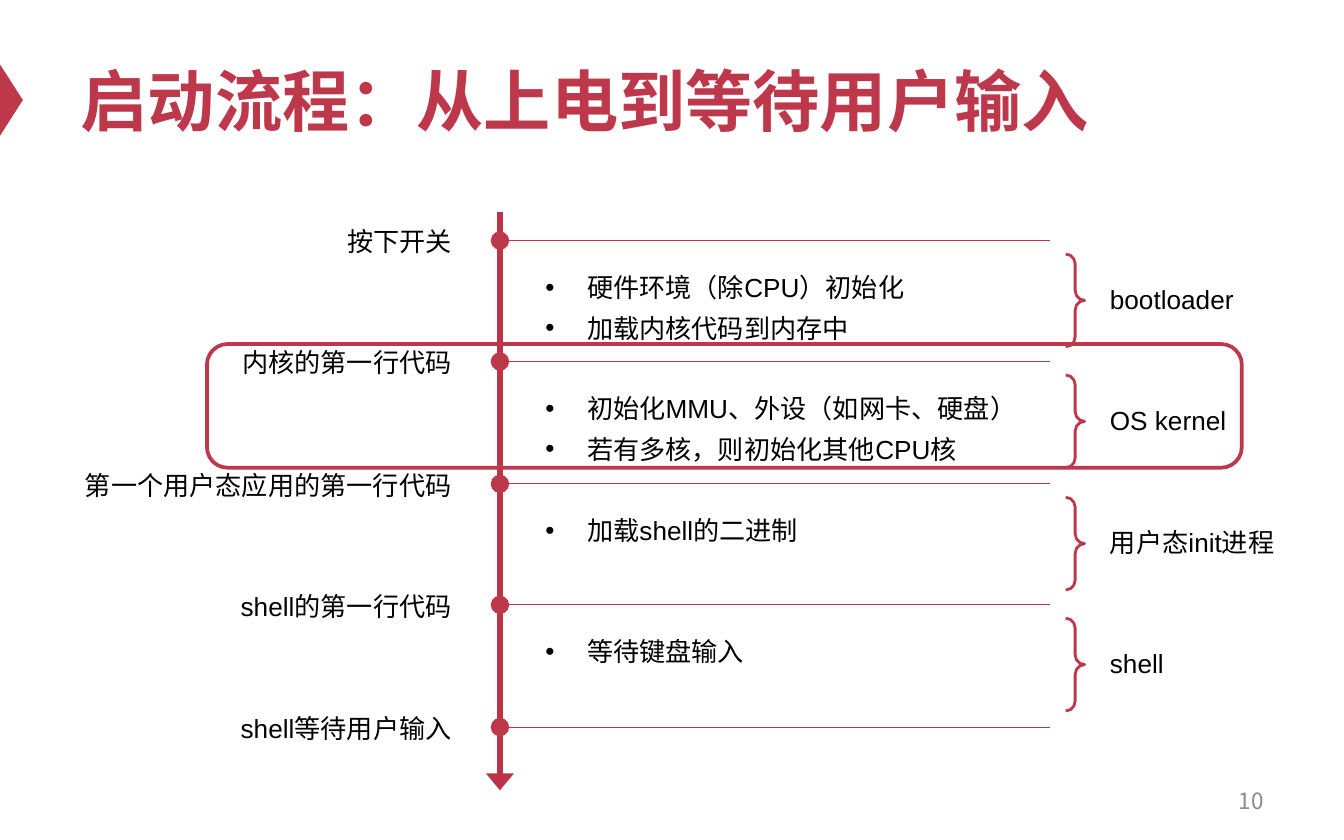
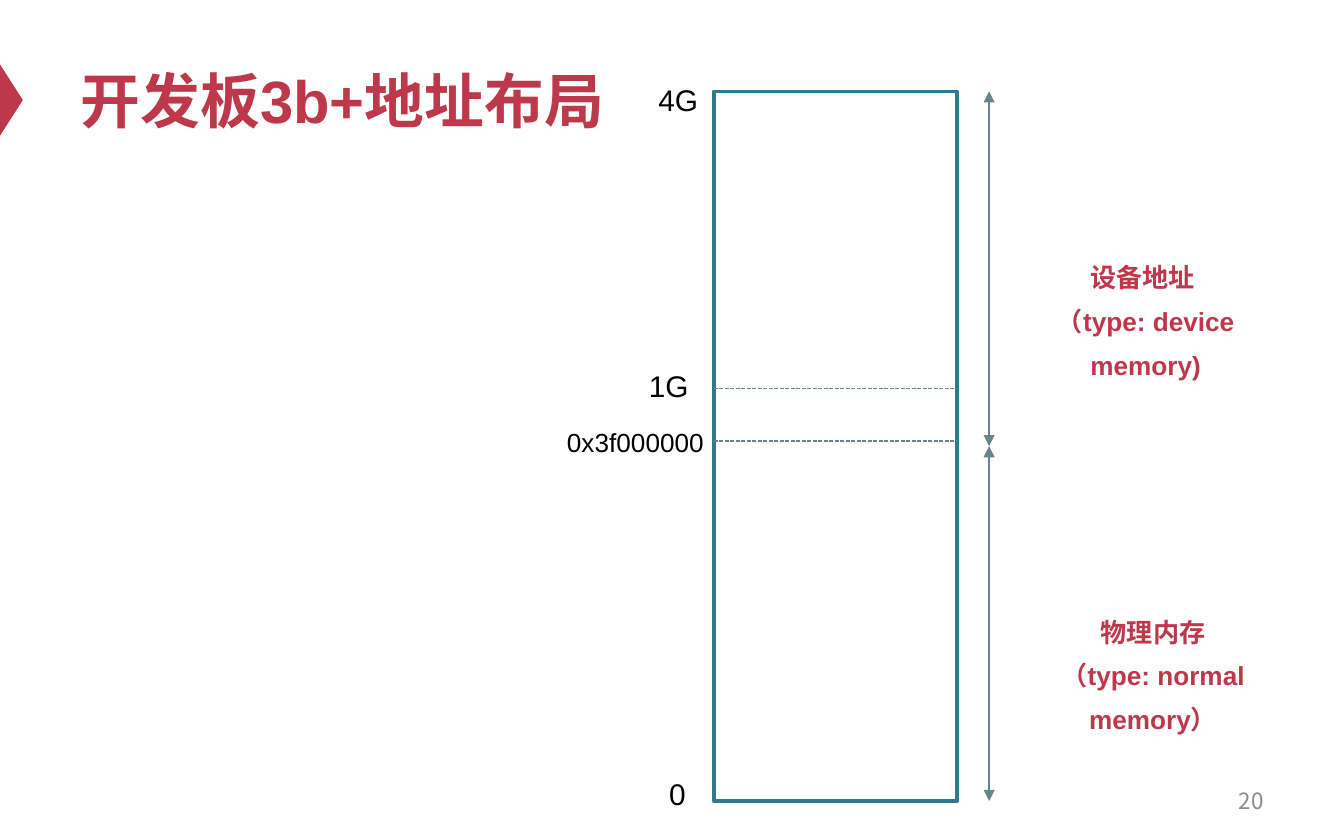
from lxml.etree import SubElement
from pptx import Presentation
from pptx.dml.color import RGBColor
from pptx.enum.dml import MSO_LINE
from pptx.enum.shapes import MSO_CONNECTOR, MSO_SHAPE
from pptx.enum.text import MSO_ANCHOR, MSO_AUTO_SIZE, PP_ALIGN
from pptx.oxml.ns import qn
from pptx.util import Emu, Pt

CRIMSON = RGBColor(0xBE, 0x38, 0x4B)
AXIS_RED = RGBColor(0xBD, 0x33, 0x47)
TEAL = RGBColor(0x32, 0x78, 0x8E)
SLATE = RGBColor(0x67, 0x84, 0x8D)
GREY = RGBColor(0x8C, 0x8C, 0x8C)
BLACK = RGBColor(0, 0, 0)
WHITE = RGBColor(255, 255, 255)

LATIN_FONT = "Arial"
CJK_FONT = "Noto Sans CJK SC"
TITLE_ONLY = 5
BULLET_INDENT = 31


def px(length):
    """Convert px, 100 to the inch, into EMU."""
    return Emu(length * 9144)


class Deck:
    def __init__(self, width, height):
        self.presentation = Presentation()
        self.presentation.slide_width = px(width)
        self.presentation.slide_height = px(height)
        self.slide = None

    def start_slide(self, title, number, title_size):
        layout = self.presentation.slide_layouts[TITLE_ONLY]
        self.slide = self.presentation.slides.add_slide(layout)
        self.shape(MSO_SHAPE.ISOSCELES_TRIANGLE, -18, 66, 53, 17, fill=CRIMSON).rotation = 90

        heading = self.slide.shapes.title
        heading.left, heading.top, heading.width, heading.height = map(px, (50, 25, 900, 98))
        frame = heading.text_frame
        frame.auto_size = MSO_AUTO_SIZE.NONE
        frame.vertical_anchor = MSO_ANCHOR.MIDDLE
        frame.paragraphs[0].alignment = PP_ALIGN.LEFT
        self.run(frame.paragraphs[0], title, title_size, CRIMSON, bold=True)

        self.text(717, 579, 233, 33, [str(number)], size=12, color=GREY, font=CJK_FONT,
                  align=PP_ALIGN.RIGHT, anchor=MSO_ANCHOR.MIDDLE, fit=False)

    def run(self, paragraph, words, size, color, bold=False, font=LATIN_FONT):
        run = paragraph.add_run()
        run.text = words
        run.font.size = Pt(size)
        run.font.bold = bold
        run.font.color.rgb = color
        run.font.name = font
        SubElement(run.font._element, qn("a:ea")).set("typeface", CJK_FONT)

    def text(self, x, y, w, h, paragraphs, size=14, color=BLACK, bold=False, font=LATIN_FONT,
             align=PP_ALIGN.LEFT, anchor=MSO_ANCHOR.TOP, spacing=None,
             bullets=False, wrap=True, fit=True):
        """Add a text box; a newline inside a paragraph is a line break."""
        frame = self.slide.shapes.add_textbox(px(x), px(y), px(w), px(h)).text_frame
        frame.word_wrap = wrap
        frame.auto_size = MSO_AUTO_SIZE.SHAPE_TO_FIT_TEXT if fit else MSO_AUTO_SIZE.NONE
        frame.vertical_anchor = anchor
        for index, content in enumerate(paragraphs):
            paragraph = frame.add_paragraph() if index else frame.paragraphs[0]
            paragraph.alignment = align
            if bullets:
                self.bullet(paragraph)
            if spacing:
                paragraph.line_spacing = spacing
            for row, words in enumerate(content.split("\n")):
                if row:
                    paragraph.add_line_break()
                self.run(paragraph, words, size, color, bold, font)

    def bullet(self, paragraph):
        properties = paragraph._p.get_or_add_pPr()
        properties.set("marL", str(px(BULLET_INDENT)))
        properties.set("indent", str(px(-BULLET_INDENT)))
        SubElement(properties, qn("a:buFont")).set("typeface", LATIN_FONT)
        SubElement(properties, qn("a:buChar")).set("char", "•")

    def shape(self, preset, x, y, w, h, fill=None, line=None, weight=1):
        shape = self.slide.shapes.add_shape(preset, px(x), px(y), px(w), px(h))
        shape.shadow.inherit = False
        if fill is None:
            shape.fill.background()
        else:
            shape.fill.solid()
            shape.fill.fore_color.rgb = fill
        if line is None:
            shape.line.fill.background()
        else:
            shape.line.color.rgb = line
            shape.line.width = Pt(weight)
        return shape

    def line(self, x1, y1, x2, y2, color, weight, dash=None, head=None, tail=None):
        """Add a line; head and tail are (type, width, length) of the end marks."""
        connector = self.slide.shapes.add_connector(
            MSO_CONNECTOR.STRAIGHT, px(x1), px(y1), px(x2), px(y2))
        connector.line.color.rgb = color
        connector.line.width = Pt(weight)
        if dash:
            connector.line.dash_style = dash
        outline = connector.line._get_or_add_ln()
        for tag, mark in (("a:headEnd", head), ("a:tailEnd", tail)):
            if mark:
                end = SubElement(outline, qn(tag))
                for key, value in zip(("type", "w", "len"), mark):
                    end.set(key, value)
        SubElement(connector._element.spPr, qn("a:effectLst"))


def build_boot_flow(deck):
    milestones = [
        ("按下开关", 99),
        ("内核的第一行代码", 177),
        ("第一个用户态应用的第一行代码", 295),
        ("shell的第一行代码", 178),
        ("shell等待用户输入", 178),
    ]
    stages = [
        (["硬件环境（除CPU）初始化", "加载内核代码到内存中"], "bootloader", 113),
        (["初始化MMU、外设（如网卡、硬盘）", "若有多核，则初始化其他CPU核"], "OS kernel", 107),
        (["加载shell的二进制"], "用户态init进程", 143),
        (["等待键盘输入"], "shell", 61),
    ]
    axis_x, label_right = 372, 346
    milestone_y = [179 + 181 * step // 2 for step in range(len(milestones))]

    deck.start_slide("启动流程：从上电到等待用户输入", 10, title_size=36)
    deck.line(axis_x, 158, axis_x, 588, AXIS_RED, 3, tail=("triangle", "lg", "med"))
    for y, (label, width) in zip(milestone_y, milestones):
        deck.text(label_right - width, y - 16, width, 34, [label],
                  align=PP_ALIGN.RIGHT, wrap=False)
        deck.line(axis_x, y, 781, y, CRIMSON, 0.5, head=("oval", "lg", "lg"))
    for y, (tasks, actor, width) in zip(milestone_y, stages):
        deck.text(396, y + 11, 387, 8 + 30 * len(tasks), tasks, spacing=1.3, bullets=True)
        brace = deck.shape(MSO_SHAPE.RIGHT_BRACE, 793, y + 10, 14, 69, line=CRIMSON, weight=1.5)
        brace.adjustments[0] = 0.52
        deck.text(816, y + 27, width, 34, [actor], wrap=False)
    deck.shape(MSO_SHAPE.ROUNDED_RECTANGLE, 154, 256, 770, 92, line=CRIMSON, weight=2)


def build_address_layout(deck):
    left, right, top, bottom = 531, 712, 68, 596
    range_x, range_split = 736, 332
    arrow = ("triangle", "med", "med")

    deck.start_slide("开发板3b+地址布局", 20, title_size=32)
    deck.shape(MSO_SHAPE.RECTANGLE, left, top, right - left, bottom - top,
               fill=WHITE, line=TEAL, weight=2)
    for boundary in (289, 328):
        deck.line(left, boundary, right, boundary, SLATE, 0.75, dash=MSO_LINE.SQUARE_DOT)
    for start, end in ((top, range_split), (range_split, bottom)):
        deck.line(range_x, start, range_x, end, SLATE, 0.75, head=arrow, tail=arrow)

    for x, y, width, address, size in (
        (480, 56, 50, "4G", 16),
        (473, 269, 50, "1G", 16),
        (412, 312, 122, "0x3f000000", 14),
        (488, 572, 33, "0", 16),
    ):
        deck.text(x, y, width, 37, [address], size=size, wrap=False)
    for y, width, region in (
        (180, 233, ["设备地址 \n（type: device memory)"]),
        (444, 244, ["物理内存", "（type: normal memory）"]),
    ):
        deck.text(range_x, y, width, 72, region, color=CRIMSON, bold=True,
                  align=PP_ALIGN.CENTER, spacing=1.4)


def main():
    deck = Deck(1000, 625)
    build_boot_flow(deck)
    build_address_layout(deck)
    deck.presentation.save("out.pptx")


if __name__ == "__main__":
    main()
